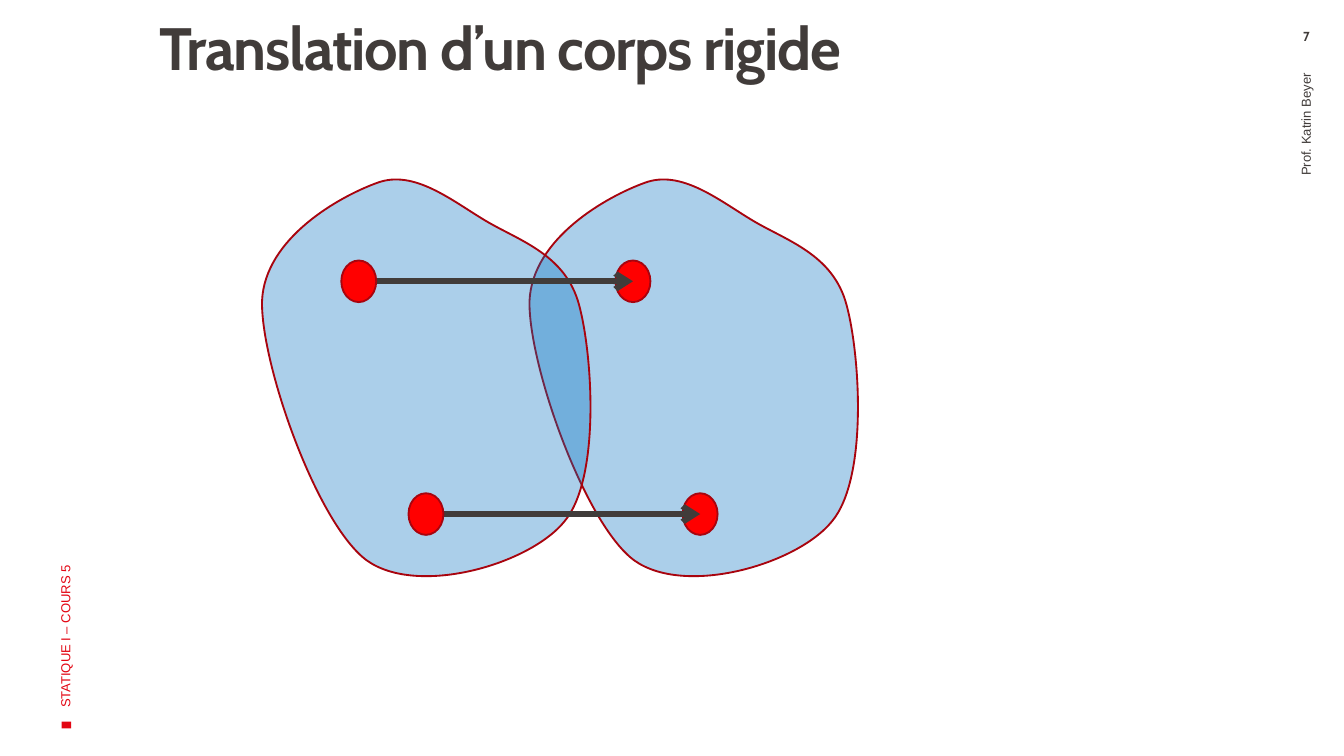
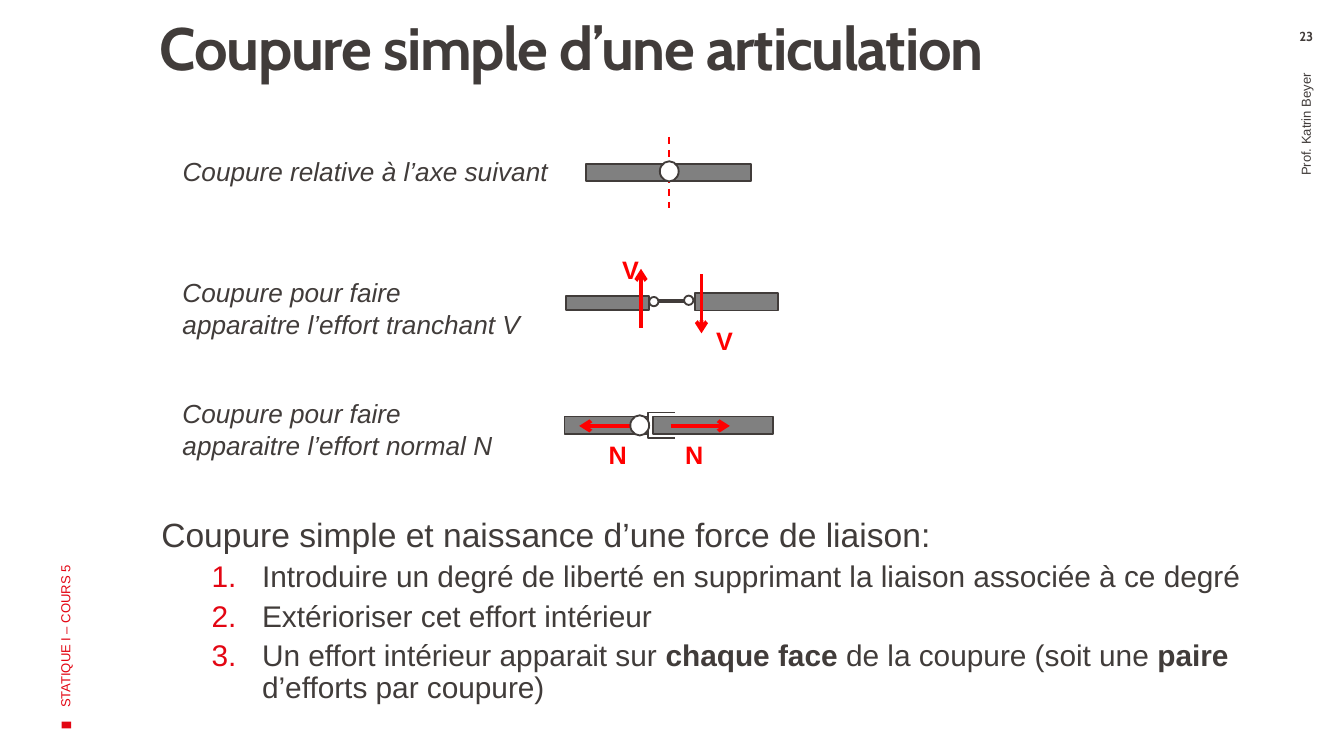
from typing import NamedTuple, Optional

from lxml import etree
from pptx import Presentation
from pptx.dml.color import RGBColor
from pptx.enum.dml import MSO_LINE
from pptx.enum.shapes import MSO_CONNECTOR, MSO_SHAPE
from pptx.enum.text import MSO_ANCHOR, MSO_AUTO_SIZE, PP_ALIGN
from pptx.oxml.ns import qn
from pptx.util import Pt

DARK = RGBColor(0x41, 0x3C, 0x3A)
ACCENT = RGBColor(0xE3, 0x06, 0x13)
RED = RGBColor(0xFF, 0x00, 0x00)
OUTLINE = RGBColor(0xA8, 0x04, 0x0E)
BODY_BLUE = RGBColor(0x00, 0x70, 0xC0)
GREY = RGBColor(0x80, 0x80, 0x80)
WHITE = RGBColor(0xFF, 0xFF, 0xFF)

RECTANGLE = MSO_SHAPE.RECTANGLE
OVAL = MSO_SHAPE.OVAL
STRAIGHT = MSO_CONNECTOR.STRAIGHT
DASH = MSO_LINE.DASH
LEFT, CENTER, RIGHT = PP_ALIGN.LEFT, PP_ALIGN.CENTER, PP_ALIGN.RIGHT
TOP, MIDDLE = MSO_ANCHOR.TOP, MSO_ANCHOR.MIDDLE
GROW, FIXED = MSO_AUTO_SIZE.SHAPE_TO_FIT_TEXT, MSO_AUTO_SIZE.NONE

UNITS_PER_POINT = 100
DEFAULT_INSETS = (7.2, 3.6, 7.2, 3.6)


class Box(NamedTuple):
    left: float
    top: float
    width: float
    height: float

    def lengths(self):
        return [Pt(value) for value in self]


class Point(NamedTuple):
    x: float
    y: float


class Line(NamedTuple):
    start: Point
    end: Point
    color: RGBColor
    width: float
    arrow: bool = False
    dash: Optional[MSO_LINE] = None


class Part(NamedTuple):
    kind: MSO_SHAPE
    box: Box
    fill: RGBColor
    outline: Optional[RGBColor] = DARK


class Caption(NamedTuple):
    text: str
    box: Box
    wrap: bool = True


BODY_SIZE = Point(175.7, 212.4)
BODY_START = Point(119.5, 21.6)
BODY_CURVES = [
    [(101.5, 10.8), (81.4, -5.8), (61.9, 1.4)],
    [(41.8, 8.6), (1.4, 31), (0, 64.8)],
    [(-0.7, 98.6), (29.5, 184.3), (56.2, 203.8)],
    [(83.5, 223.2), (143.3, 205.9), (162, 182.9)],
    [(181.4, 159.8), (177.1, 93.6), (169.9, 67)],
    [(162.7, 39.6), (137.5, 32.4), BODY_START],
]
BODY_POSITIONS = [Point(283.7, 96.5), Point(140.4, 96.5)]
TRACKED_POINTS = [Point(228.2, 275.4), Point(192.2, 150.7)]
TRANSLATION = 146.9
DOT = Point(18.7, 22.3)

CAPTIONS = [
    Caption("Coupure relative à l’axe suivant", Box(90.7, 79.9, 210.2, 24.5), False),
    Caption("Coupure pour faire apparaitre l’effort tranchant V", Box(90.7, 144.7, 197.3, 41)),
    Caption("Coupure pour faire apparaitre l’effort normal N", Box(90.7, 209.5, 197.3, 41)),
]
STEPS = [
    "Introduire un degré de liberté en supprimant la liaison associée à ce degré",
    "Extérioriser cet effort intérieur",
    "Un effort intérieur apparait sur **chaque face **de la coupure (soit une **paire **d’efforts par coupure)",
]

HINGE_CUT = [
    Line(Point(358.6, 73.4), Point(358.6, 111.6), RED, 1, dash=DASH),
    Part(RECTANGLE, Box(313.9, 87.8, 88.6, 9.4), GREY),
    Part(OVAL, Box(353.5, 86.4, 10.1, 10.8), WHITE),
]
SHEAR_CUT = [
    Part(RECTANGLE, Box(372.2, 157, 44.6, 9.4), GREY),
    Part(RECTANGLE, Box(303.1, 158.4, 44.6, 7.9), GREY),
    Line(Point(343.4, 175.7), Point(343.4, 144), RED, 2, arrow=True),
    Caption("V", Box(326.2, 132.5, 20.2, 21.6), False),
    Line(Point(375.8, 146.9), Point(375.8, 178.6), RED, 2, arrow=True),
    Caption("V", Box(376.6, 170.6, 20.2, 21.6), False),
    Part(OVAL, Box(347.8, 159.1, 5, 5), WHITE),
    Line(Point(369.4, 161.3), Point(352.8, 161.3), DARK, 2),
    Part(OVAL, Box(366.5, 158.4, 5, 5), WHITE),
]
SLEEVE = [Point(361.6, 221), Point(347, 221), Point(347, 234.9), Point(361.6, 234.9)]
NORMAL_CUT = [
    Part(RECTANGLE, Box(349.9, 223.2, 64.1, 9.4), GREY),
    SLEEVE,
    Part(RECTANGLE, Box(302.4, 223.2, 44.6, 9.4), GREY),
    Line(Point(359.3, 228.2), Point(391, 228.2), RED, 2, arrow=True),
    Line(Point(342, 228.2), Point(310.3, 228.2), RED, 2, arrow=True),
    Caption("N", Box(360, 231.8, 20.9, 21.6), False),
    Caption("N", Box(319, 231.8, 20.9, 21.6), False),
    Part(OVAL, Box(337.7, 222.5, 10.1, 10.8), WHITE),
]


def write_text(paragraph, text: str, *, size: float, color: RGBColor = DARK, font: str = "Arial",
               bold: bool = False, italic: bool = False, align: PP_ALIGN = LEFT,
               line_spacing: Optional[float] = None, space_before: float = 0, tracking: float = 0) -> None:
    paragraph.alignment = align
    if line_spacing:
        paragraph.line_spacing = line_spacing
    if space_before:
        paragraph.space_before = Pt(space_before)
    for index, piece in enumerate(text.split("**")):
        run = paragraph.add_run()
        run.text = piece
        run.font.name = font
        run.font.size = Pt(size)
        run.font.bold = bold or index % 2 == 1
        run.font.italic = italic
        run.font.color.rgb = color
        if tracking:
            run._r.get_or_add_rPr().set("spc", str(round(tracking * 100)))


def add_frame(shapes, box: Box, *, insets=DEFAULT_INSETS, anchor: MSO_ANCHOR = TOP,
              wrap: bool = True, grow: bool = False, rotation: float = 0):
    shape = shapes.add_textbox(*box.lengths())
    shape.rotation = rotation
    frame = shape.text_frame
    frame.word_wrap = wrap
    frame.auto_size = GROW if grow else FIXED
    frame.vertical_anchor = anchor
    frame.margin_left, frame.margin_top, frame.margin_right, frame.margin_bottom = map(Pt, insets)
    return frame


def style_shape(shape, fill: Optional[RGBColor], outline: Optional[RGBColor]) -> None:
    shape.shadow.inherit = False
    if fill is None:
        shape.fill.background()
    else:
        shape.fill.solid()
        shape.fill.fore_color.rgb = fill
    if outline is None:
        shape.line.fill.background()
    else:
        shape.line.color.rgb = outline
        shape.line.width = Pt(1)


def add_part(shapes, part: Part):
    shape = shapes.add_shape(part.kind, *part.box.lengths())
    style_shape(shape, part.fill, part.outline)
    return shape


def add_line(shapes, line: Line) -> None:
    ends = [Pt(value) for value in (*line.start, *line.end)]
    connector = shapes.add_connector(STRAIGHT, *ends)
    connector.line.color.rgb = line.color
    connector.line.width = Pt(line.width)
    if line.dash is not None:
        connector.line.dash_style = line.dash
    if line.arrow:
        etree.SubElement(connector.line._get_or_add_ln(), qn("a:tailEnd"), type="arrow")
    etree.SubElement(connector._element.spPr, qn("a:effectLst"))


def add_outline(shapes, points: list, *, fill: Optional[RGBColor], outline: RGBColor, close: bool):
    scaled = [(x * UNITS_PER_POINT, y * UNITS_PER_POINT) for x, y in points]
    builder = shapes.build_freeform(*scaled[0], scale=Pt(1) / UNITS_PER_POINT)
    builder.add_line_segments(scaled[1:], close=close)
    shape = builder.convert_to_shape()
    style_shape(shape, fill, outline)
    return shape


def add_path_step(outline, tag: str, points: list) -> None:
    step = etree.SubElement(outline, qn(tag))
    for x, y in points:
        etree.SubElement(step, qn("a:pt"), x=str(round(x * UNITS_PER_POINT)), y=str(round(y * UNITS_PER_POINT)))


def add_rigid_body(shapes, corner: Point) -> None:
    right, bottom = corner.x + BODY_SIZE.x, corner.y + BODY_SIZE.y
    bounds = [corner, (right, corner.y), (right, bottom), (corner.x, bottom)]
    shape = add_outline(shapes, bounds, fill=BODY_BLUE, outline=OUTLINE, close=True)
    properties = shape._element.spPr
    outline = next(properties.iter(qn("a:path")))
    for step in list(outline):
        outline.remove(step)
    add_path_step(outline, "a:moveTo", [BODY_START])
    for curve in BODY_CURVES:
        add_path_step(outline, "a:cubicBezTo", curve)
    add_path_step(outline, "a:close", [])
    etree.SubElement(properties.find(qn("a:solidFill"))[0], qn("a:alpha"), val="33000")


def add_dot(shapes, center: Point) -> None:
    box = Box(center.x - DOT.x / 2, center.y - DOT.y / 2, *DOT)
    add_part(shapes, Part(OVAL, box, RED, OUTLINE))


def add_diagram(slide, elements: list) -> None:
    shapes = slide.shapes.add_group_shape().shapes
    for element in elements:
        if isinstance(element, Part):
            add_part(shapes, element)
        elif isinstance(element, Line):
            add_line(shapes, element)
        elif isinstance(element, Caption):
            frame = add_frame(shapes, element.box, wrap=element.wrap, grow=True)
            write_text(frame.paragraphs[0], element.text, size=13.5, color=RED, bold=True)
        else:
            add_outline(shapes, element, fill=None, outline=DARK, close=False)


def add_course_slide(presentation, title: str, number: int):
    slide = presentation.slides.add_slide(presentation.slide_layouts[6])
    shapes = slide.shapes
    marker = add_part(shapes, Part(RECTANGLE, Box(33.8, 385.9, 3.6, 5), ACCENT, None))
    marker.rotation = 270
    frame = add_frame(shapes, Box(71.3, 10.1, 552.2, 84.2), insets=(14.4, 0, 5.8, 3.6))
    write_text(frame.paragraphs[0], title, size=32, font="Cabin", bold=True, line_spacing=0.9, tracking=-0.7)
    frame = add_frame(shapes, Box(-96.5, 218.9, 262.8, 72), anchor=MIDDLE, rotation=270)
    write_text(frame.paragraphs[0], "STATIQUE I – COURS 5", size=7, color=ACCENT)
    frame = add_frame(shapes, Box(560.2, 147.6, 278.6, 40.3), insets=(7.2, 3.6, 10.8, 3.6),
                      anchor=MIDDLE, rotation=270)
    write_text(frame.paragraphs[0], "Prof. Katrin Beyer", size=7, align=RIGHT)
    frame = add_frame(shapes, Box(679.7, 15.1, 40.3, 13), insets=(7.2, 0, 7.2, 0))
    write_text(frame.paragraphs[0], str(number), size=7, font="Cabin", bold=True, align=CENTER)
    return slide


def add_numbering(paragraph) -> None:
    properties = paragraph._p.get_or_add_pPr()
    properties.set("lvl", "1")
    properties.set("marL", str(Pt(54)))
    properties.set("indent", str(Pt(-27)))
    color = etree.SubElement(properties, qn("a:buClr"))
    etree.SubElement(color, qn("a:srgbClr"), val=str(ACCENT))
    etree.SubElement(properties, qn("a:buAutoNum"), type="arabicPeriod")


def build_translation_slide(presentation) -> None:
    shapes = add_course_slide(presentation, "Translation d’un corps rigide", 7).shapes
    for corner in BODY_POSITIONS:
        add_rigid_body(shapes, corner)
    for start in TRACKED_POINTS:
        end = Point(start.x + TRANSLATION, start.y)
        add_dot(shapes, end)
        add_line(shapes, Line(start, end, DARK, 3, arrow=True))
        add_dot(shapes, start)


def build_cut_slide(presentation) -> None:
    slide = add_course_slide(presentation, "Coupure simple d’une articulation", 23)
    frame = add_frame(slide.shapes, Box(72, 274.3, 608.4, 126), insets=(14.4, 3.6, 7.2, 3.6))
    write_text(frame.paragraphs[0], "Coupure simple et naissance d’une force de liaison:", size=18, line_spacing=0.9)
    for step in STEPS:
        paragraph = frame.add_paragraph()
        add_numbering(paragraph)
        write_text(paragraph, step, size=16, line_spacing=0.9, space_before=3.8)
    for diagram in (SHEAR_CUT, HINGE_CUT, NORMAL_CUT):
        add_diagram(slide, diagram)
    for caption in CAPTIONS:
        frame = add_frame(slide.shapes, caption.box, wrap=caption.wrap, grow=True)
        write_text(frame.paragraphs[0], caption.text, size=14, italic=True)


def main() -> None:
    presentation = Presentation()
    presentation.slide_width = Pt(720)
    presentation.slide_height = Pt(405)
    build_translation_slide(presentation)
    build_cut_slide(presentation)
    presentation.save("out.pptx")


if __name__ == "__main__":
    main()
